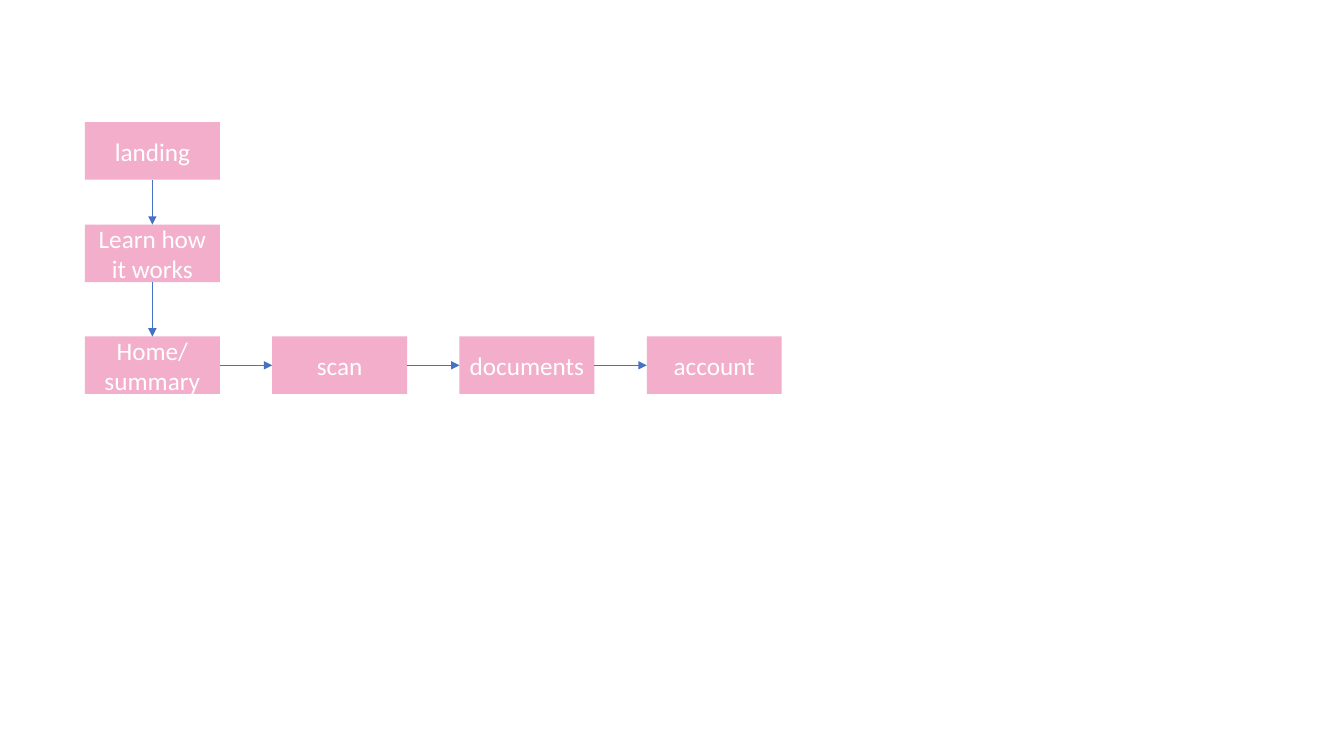
from itertools import pairwise

from lxml import etree
from pptx import Presentation
from pptx import util as u
from pptx.dml.color import RGBColor
from pptx.enum import shapes, text
from pptx.oxml.ns import qn

PINK, BLUE, WHITE = "F2AECB", "4472C4", "FFFFFF"
STEP_WIDTH, STEP_HEIGHT = u.Cm(3.4), u.Cm(1.45)
TOP, LEFT, BOTTOM, RIGHT = range(4)


def color(value):
    """Return the colour for a hex string."""
    return RGBColor.from_string(value)


def add_step(slide, left, top, lines):
    """Add one pink step box with a paragraph per line."""
    step = slide.shapes.add_shape(
        shapes.MSO_SHAPE.RECTANGLE, left, top, STEP_WIDTH, STEP_HEIGHT)
    step.shadow.inherit = False
    step.fill.solid()
    step.fill.fore_color.rgb = color(PINK)
    step.line.fill.background()
    frame = step.text_frame
    frame.word_wrap = True
    frame.vertical_anchor = text.MSO_ANCHOR.MIDDLE
    for index, line in enumerate(lines):
        paragraph = frame.add_paragraph() if index else frame.paragraphs[0]
        paragraph.alignment = text.PP_ALIGN.CENTER
        run = paragraph.add_run()
        run.text = line
        run.font.name = "Calibri"
        run.font.size = u.Pt(18)
        run.font.color.rgb = color(WHITE)
    return step


def add_arrow(slide, source, source_side, target, target_side):
    """Join two steps with a thin blue arrow."""
    arrow = slide.shapes.add_connector(shapes.MSO_CONNECTOR.STRAIGHT, 0, 0, 0, 0)
    arrow.begin_connect(source, source_side)
    arrow.end_connect(target, target_side)
    arrow.line.color.rgb = color(BLUE)
    arrow.line.width = u.Pt(0.5)
    line = arrow.line._get_or_add_ln()
    etree.SubElement(line, qn("a:tailEnd"), type="triangle")
    etree.SubElement(arrow._element.spPr, qn("a:effectLst"))


def add_user_flow(slide, left, top):
    """Place the entry column and the row of main screens from a corner."""
    entry = [
        (u.Cm(0), ["landing"]),
        (u.Cm(2.58), ["Learn how it works"]),
        (u.Cm(5.4), ["Home/", "summary"]),
    ]
    column = [add_step(slide, left, top + offset, lines) for offset, lines in entry]
    home = column[-1]
    row = [home]
    for position, name in enumerate(["scan", "documents", "account"], start=1):
        row.append(add_step(slide, left + position * u.Cm(4.72), home.top, [name]))
    for source, target in pairwise(column):
        add_arrow(slide, source, BOTTOM, target, TOP)
    for source, target in pairwise(row):
        add_arrow(slide, source, RIGHT, target, LEFT)


def main():
    """Build and save the presentation."""
    presentation = Presentation()
    presentation.slide_width = u.Cm(33.87)
    presentation.slide_height = u.Cm(19.05)
    slide = presentation.slides.add_slide(presentation.slide_layouts[6])
    add_user_flow(slide, u.Cm(2.14), u.Cm(3.08))
    presentation.save("out.pptx")


if __name__ == "__main__":
    main()
